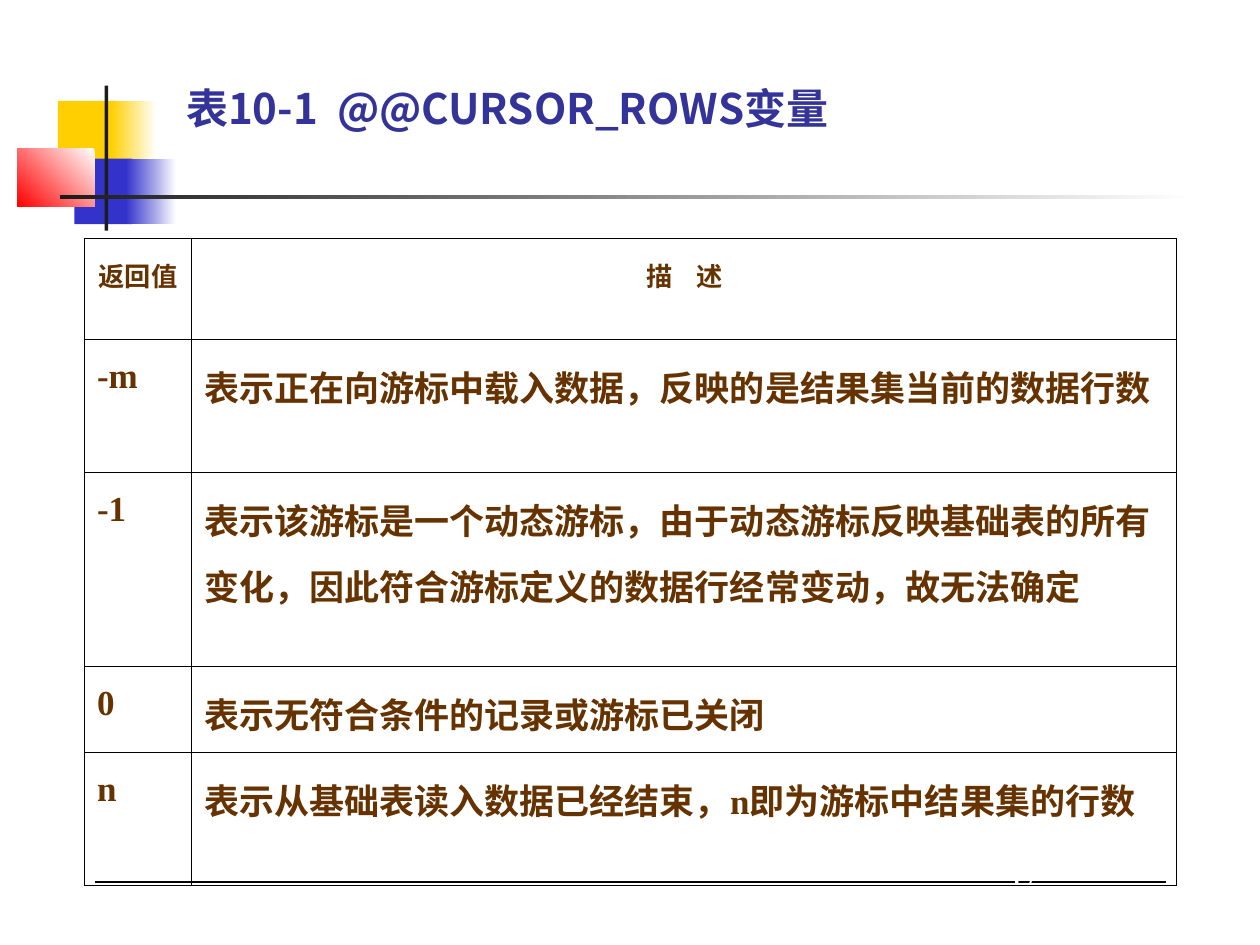
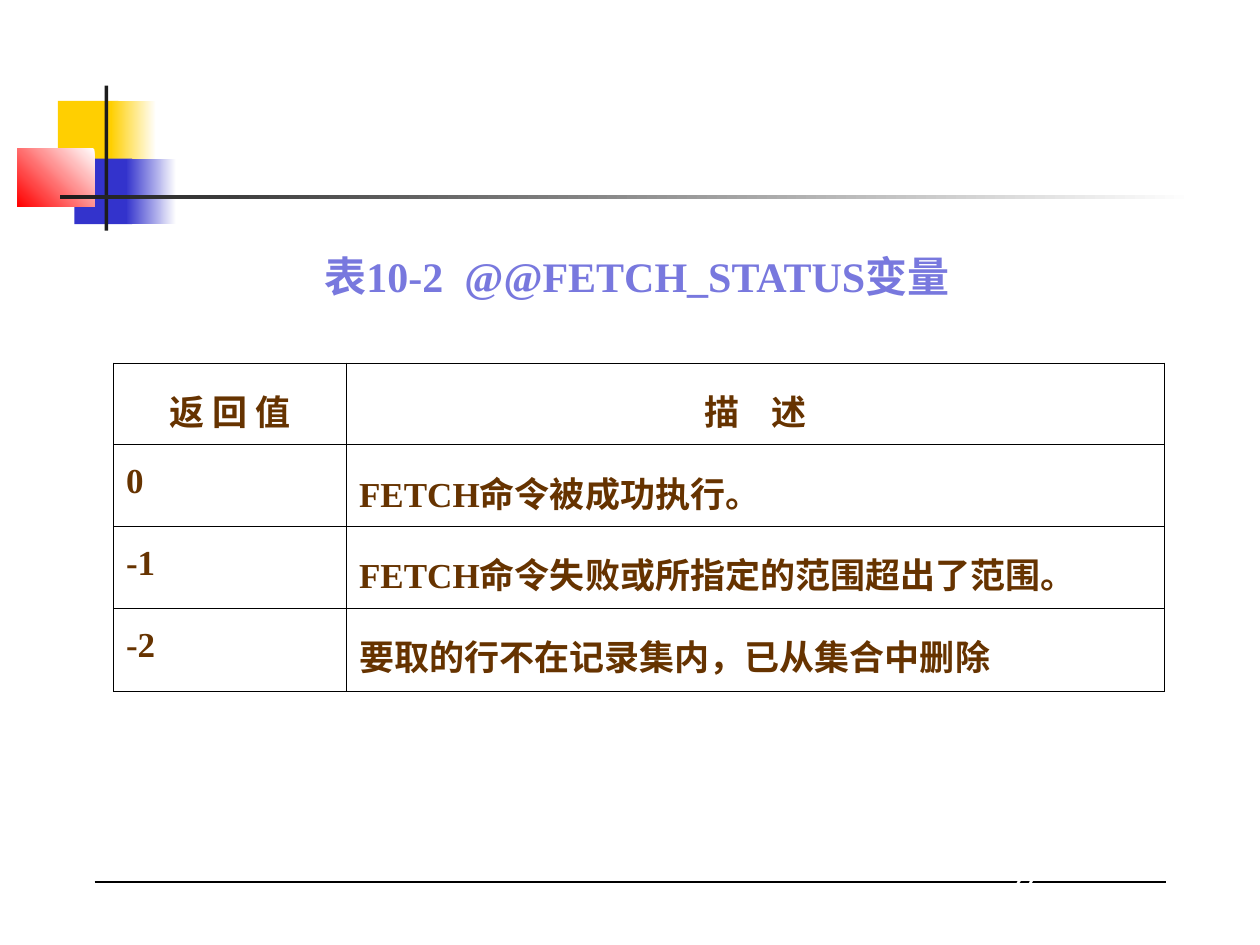
from pptx import Presentation
from pptx.util import Inches, Pt
from pptx.dml.color import RGBColor as RGB
from pptx.enum.shapes import MSO_SHAPE as Shape, MSO_CONNECTOR as Conn
from pptx.enum.text import PP_ALIGN as Align, MSO_ANCHOR as Anchor
from pptx.oxml.ns import qn
from lxml.etree import SubElement

# Colours and fonts
WHITE = RGB(0xFF, 0xFF, 0xFF)
BLACK = RGB(0, 0, 0)
GOLD = RGB(0xFF, 0xCF, 0x01)
BLUE = RGB(0x33, 0x33, 0xCC)
RED = RGB(0xFF, 0, 0)
INK = RGB(0x1C, 0x1C, 0x1C)
NAVY = RGB(0x33, 0x33, 0x99)
LILAC = RGB(0x78, 0x78, 0xDE)
BROWN = RGB(0x66, 0x33, 0x00)
SERIF = "Times New Roman"
SANS = "Noto Sans CJK SC"

# Content
PAGES = [
    {
        "title": "表10-1  @@CURSOR_ROWS变量",
        "box": (1.38, 0.21, 8.26, 0.89),
        "font": {"size": Pt(24), "name": SANS, "color": NAVY},
        "align": Align.LEFT,
        "anchor": Anchor.BOTTOM,
        "number": "17",
        "at": (0.67, 1.89),
        "cols": (0.85, 7.82),
        "heights": (0.8, 1.06, 1.54, 0.68, 1.06),
        "head": 15,
        "rows": [
            ("返回值", "描    述"),
            ("-m", "表示正在向游标中载入数据，反映的是结果集当前的数据行数"),
            ("-1", "表示该游标是一个动态游标，由于动态游标反映基础表的所有"
                   "变化，因此符合游标定义的数据行经常变动，故无法确定"),
            ("0", "表示无符合条件的记录或游标已关闭"),
            ("n", "表示从基础表读入数据已经结束，n即为游标中结果集的行数"),
        ],
    },
    {
        "title": "表10-2  @@FETCH_STATUS变量",
        "box": (1.51, 1.94, 7.09, 0.5),
        "font": {"size": Pt(24), "name": SERIF, "color": LILAC},
        "align": Align.CENTER,
        "anchor": Anchor.TOP,
        "number": "22",
        "at": (0.9, 2.88),
        "cols": (1.85, 6.49),
        "heights": (0.65, 0.65, 0.65, 0.66),
        "head": 20,
        "rows": [
            ("返 回 值", "描    述"),
            ("0", "FETCH命令被成功执行。"),
            ("-1", "FETCH命令失败或所指定的范围超出了范围。"),
            ("-2", "要取的行不在记录集内，已从集合中删除"),
        ],
    },
]

# Corner blocks and bars: place, colour, angle of the fade from white
BLOCKS = [
    ((0.46, 0.8, 0.48, 0.52), GOLD, None),
    ((0.88, 0.8, 0.36, 0.52), GOLD, 180),
    ((0.59, 1.26, 0.46, 0.52), BLUE, None),
    ((1, 1.26, 0.4, 0.52), BLUE, 180),
    ((0.14, 1.18, 0.61, 0.46), RED, 225),
    ((0.83, 0.68, 0.03, 1.15), INK, None),
    ((0.48, 1.55, 9, 0.03), INK, 180),
]
RULE = (0.75, 7, 9.25, 7)
NUMBER = (7.92, 6.83, 2.08, 0.5)


def inch(vals):
    return [Inches(v) for v in vals]


def write(frame, text, font, align=Align.LEFT, space=None):
    para = frame.paragraphs[0]
    para.alignment = align
    para.line_spacing = space
    run = para.add_run()
    run.text = text
    for key, val in {"bold": True, **font}.items():
        if key == "color":
            run.font.color.rgb = val
        else:
            setattr(run.font, key, val)
    SubElement(run.font._element, qn("a:ea"), typeface=SANS)


def label(slide, box, text, font, align=Align.LEFT, anchor=Anchor.TOP):
    frame = slide.shapes.add_textbox(*inch(box)).text_frame
    frame.word_wrap = True
    frame.vertical_anchor = anchor
    write(frame, text, font, align)


def block(slide, box, color, angle):
    rect = slide.shapes.add_shape(Shape.RECTANGLE, *inch(box))
    rect.shadow.inherit = False
    rect.line.fill.background()
    if angle is None:
        rect.fill.solid()
        rect.fill.fore_color.rgb = color
        return
    rect.fill.gradient()
    rect.fill.gradient_angle = angle
    for stop, tone, pos in zip(rect.fill.gradient_stops, (WHITE, color), (0, 1)):
        stop.color.rgb = tone
        stop.position = pos


def frame_page(slide, number):
    for part in BLOCKS:
        block(slide, *part)
    rule = slide.shapes.add_connector(Conn.STRAIGHT, *inch(RULE))
    rule.line.color.rgb = BLACK
    rule.line.width = Pt(0.75)
    SubElement(rule._element.spPr, qn("a:effectLst"))
    label(slide, NUMBER, number, {"size": Pt(14), "name": SERIF, "color": WHITE})


def edge(cell):
    # Borders go ahead of the fill
    props = cell._tc.get_or_add_tcPr()
    for spot, side in enumerate(("lnL", "lnR", "lnT", "lnB")):
        line = SubElement(props, qn("a:" + side), w=str(Pt(0.45)))
        fill = SubElement(line, qn("a:solidFill"))
        SubElement(fill, qn("a:srgbClr"), val=str(BLACK))
        props.insert(spot, line)


def grid(slide, page):
    rows, cols, highs = page["rows"], page["cols"], page["heights"]
    area = inch((*page["at"], sum(cols), sum(highs)))
    table = slide.shapes.add_table(len(rows), len(cols), *area).table
    table.first_row = table.horz_banding = False
    for col, wide in zip(table.columns, cols):
        col.width = Inches(wide)
    for row, high in zip(table.rows, highs):
        row.height = Inches(high)
    for r, texts in enumerate(rows):
        size = 20 if r else page["head"]
        align = Align.LEFT if r else Align.CENTER
        font = {"size": Pt(size), "name": SERIF, "color": BROWN}
        for c, text in enumerate(texts):
            cell = table.cell(r, c)
            cell.fill.background()
            edge(cell)
            write(cell.text_frame, text, font, align, 1.3)


def main():
    deck = Presentation()
    deck.slide_width, deck.slide_height = inch((10, 7.5))
    for page in PAGES:
        slide = deck.slides.add_slide(deck.slide_layouts[6])
        frame_page(slide, page["number"])
        grid(slide, page)
        label(slide, page["box"], page["title"], page["font"],
              page["align"], page["anchor"])
    deck.save("out.pptx")


if __name__ == "__main__":
    main()
